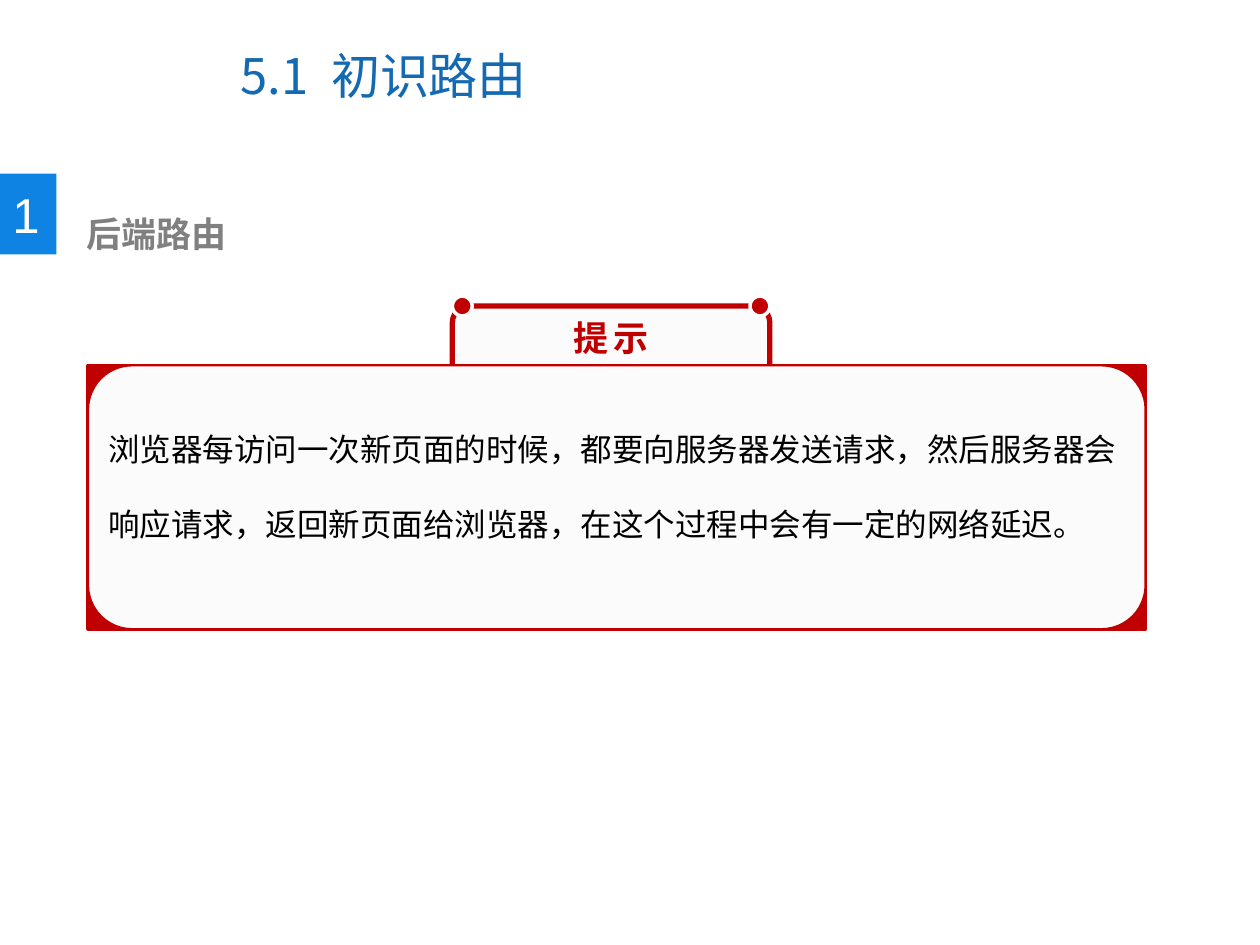
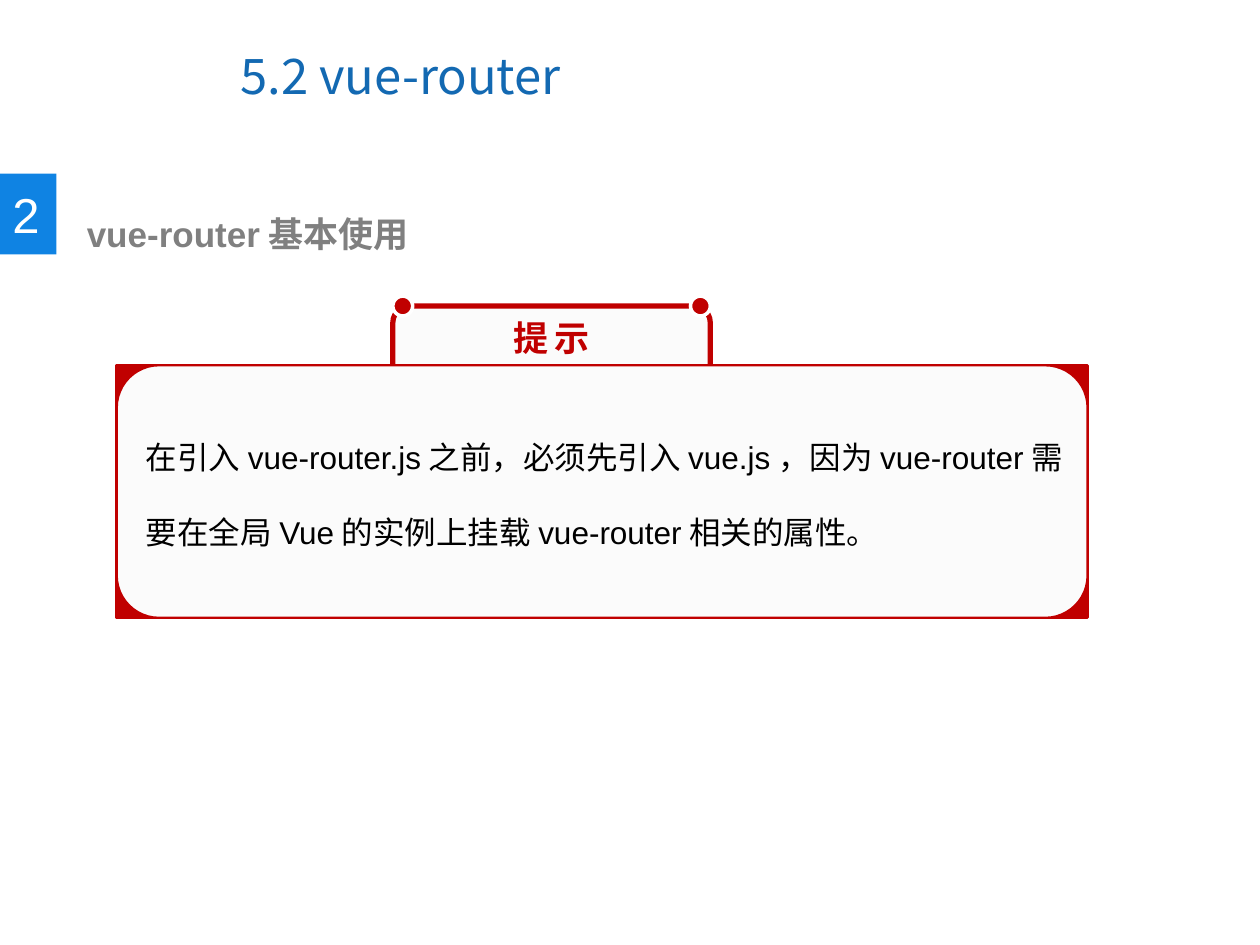
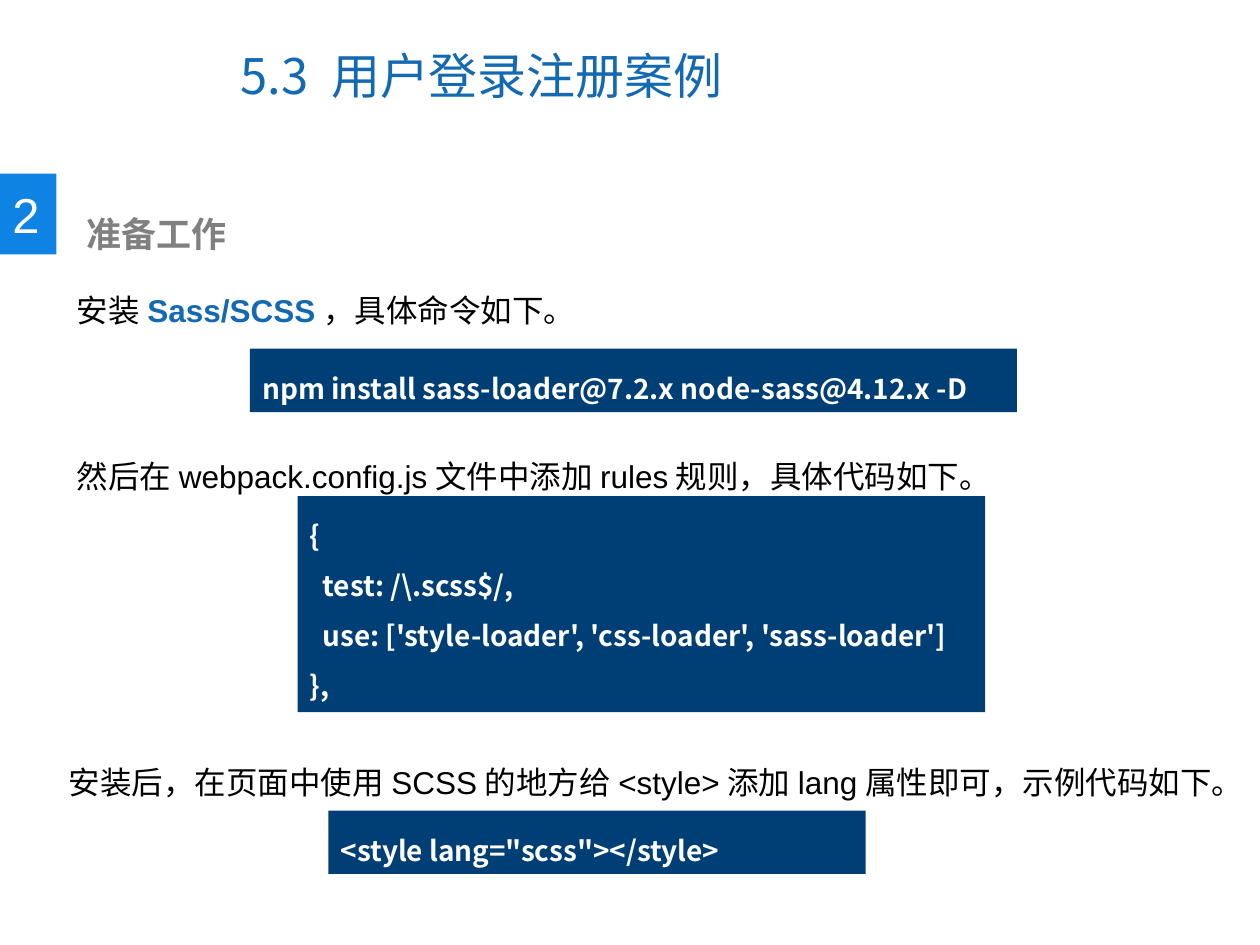
from dataclasses import dataclass

from lxml import etree
from pptx import Presentation
from pptx import util as u
from pptx.dml.color import RGBColor
from pptx.enum import shapes as s, text as t
from pptx.oxml import ns


@dataclass(frozen=True)
class Theme:
    title_blue: str = "1369B2"
    badge_blue: str = "0F83E3"
    code_blue: str = "003F75"
    red: str = "C00000"
    panel: str = "FBFBFB"
    grey: str = "808080"
    black: str = "000000"
    white: str = "FFFFFF"
    latin: str = "Arial"
    cjk: str = "Noto Sans CJK SC"
    title_size: float = 28
    heading_size: float = 20
    body_size: float = 18
    code_size: float = 16
    body_pitch: float = 42.9
    code_pitch: float = 28.6


THEME = Theme()


def add_shape(slide, kind, box, fill, line=None, line_width=1):
    shape = slide.shapes.add_shape(kind, *map(u.Cm, box))
    shape.shadow.inherit = False
    shape.fill.solid()
    shape.fill.fore_color.rgb = RGBColor.from_string(fill)
    if line:
        shape.line.color.rgb = RGBColor.from_string(line)
        shape.line.width = u.Pt(line_width)
    else:
        shape.line.fill.background()
    return shape


def style_run(run, size, color, font, bold=False):
    run.font.size = u.Pt(size)
    run.font.bold = bold
    run.font.color.rgb = RGBColor.from_string(color)
    run.font.name = font
    east_asian = etree.SubElement(run.font._element, ns.qn("a:ea"))
    east_asian.set("typeface", THEME.cjk)


def write(shape, content, size, color, font=THEME.latin, bold=False, pitch=None,
          anchor=t.MSO_ANCHOR.MIDDLE, align=t.PP_ALIGN.LEFT):
    """Fill a shape with text, one paragraph per line of content."""
    frame = shape.text_frame
    frame.text = content
    frame.word_wrap = True
    frame.vertical_anchor = anchor
    for paragraph in frame.paragraphs:
        paragraph.alignment = align
        if pitch:
            paragraph.line_spacing = u.Pt(pitch)
        for run in paragraph.runs:
            style_run(run, size, color, font, bold)
    return frame


def add_text(slide, box, content, size, color, **style):
    return write(slide.shapes.add_textbox(*map(u.Cm, box)), content, size, color, **style)


def add_section_slide(presentation, title, number, heading):
    """Slide with its title, numbered badge and section heading."""
    slide = presentation.slides.add_slide(presentation.slide_layouts[6])
    add_text(slide, (4.6, 0.43, 13.1, 2.16), title, THEME.title_size,
             THEME.title_blue, font=THEME.cjk)
    badge = add_shape(slide, s.MSO_SHAPE.RECTANGLE, (0, 3.5, 1.14, 1.63), THEME.badge_blue)
    write(badge, number, THEME.title_size, THEME.white)
    add_text(slide, (1.5, 4.14, 13, 1.12), heading, THEME.heading_size,
             THEME.grey, bold=True)
    return slide


def add_body(slide, box, content):
    return add_text(slide, box, content, THEME.body_size, THEME.black,
                    pitch=THEME.body_pitch, anchor=t.MSO_ANCHOR.TOP)


def add_tip(slide, box, tab_offset, text_inset, content):
    """Red-cornered panel with a labelled tab on its upper edge."""
    left, top, width, height = box
    tab_left, tab_width, dot = left + tab_offset, 6.4, 0.4

    # Tab behind the panel, then the panel over its red corners
    add_shape(slide, s.MSO_SHAPE.ROUNDED_RECTANGLE,
              (tab_left, top - 1.2, tab_width, 2), THEME.panel, THEME.red, 3)
    add_shape(slide, s.MSO_SHAPE.FLOWCHART_PROCESS, box, THEME.red, THEME.red, 2)
    add_shape(slide, s.MSO_SHAPE.FLOWCHART_ALTERNATE_PROCESS, box, THEME.panel, THEME.red)

    # Dots on the tab corners
    for dot_left in (tab_left, tab_left + tab_width - dot):
        add_shape(slide, s.MSO_SHAPE.OVAL, (dot_left, top - 1.4, dot, dot),
                  THEME.red, THEME.white, 2)

    # Label and message
    label = add_text(slide, (tab_left + 1.3, top - 1.12, 3.8, 1.12), "提示",
                     THEME.heading_size, THEME.red, font=THEME.cjk, bold=True,
                     align=t.PP_ALIGN.CENTER)
    label.paragraphs[0].runs[0].font._element.set("spc", "300")
    inset_left, inset_top, inset_right = text_inset
    add_body(slide, (left + inset_left, top + inset_top,
                     width - inset_left - inset_right, 3.33), content)


def add_code(slide, box, content):
    block = add_shape(slide, s.MSO_SHAPE.RECTANGLE, box, THEME.code_blue)
    write(block, content, THEME.code_size, THEME.white, font=THEME.cjk, bold=True,
          pitch=THEME.code_pitch, anchor=t.MSO_ANCHOR.TOP)


def add_setup_steps(slide, box):
    """Three steps, each a sentence with its code block."""
    left, top, width = box

    # Install command, with the tool name emphasised
    frame = add_body(slide, (left, top, width, 1.8), "安装")
    paragraph = frame.paragraphs[0]
    for words, color, bold in (("Sass/SCSS", THEME.title_blue, True),
                               ("，具体命令如下。", THEME.black, False)):
        run = paragraph.add_run()
        run.text = words
        style_run(run, THEME.body_size, color, THEME.latin, bold)
    add_code(slide, (left + 3.74, top + 2.03, 15.46, 1.28),
             "npm install sass-loader@7.2.x node-sass@4.12.x -D")

    # Loader rule
    add_body(slide, (left, top + 3.33, width, 1.8),
             "然后在webpack.config.js文件中添加rules规则，具体代码如下。")
    add_code(slide, (left + 4.7, top + 5, 13.86, 4.36),
             "{\n  test: /\\.scss$/,\n"
             "  use: ['style-loader', 'css-loader', 'sass-loader']\n},")

    # Style tag
    add_body(slide, (left - 0.16, top + 9.5, width + 0.5, 1.8),
             "安装后，在页面中使用SCSS的地方给<style>添加lang属性即可，示例代码如下。")
    add_code(slide, (left + 5.32, top + 11.34, 10.83, 1.28), '<style lang="scss"></style>')


def main():
    presentation = Presentation()
    presentation.slide_width, presentation.slide_height = u.Cm(25.4), u.Cm(19.05)

    slide = add_section_slide(presentation, "5.1 初识路由", "1", "后端路由")
    add_tip(slide, (1.78, 7.37, 21.31, 5.31), 7.34, (0.15, 0.43, 0),
            "浏览器每访问一次新页面的时候，都要向服务器发送请求，然后服务器会响应请求，"
            "返回新页面给浏览器，在这个过程中会有一定的网络延迟。")

    slide = add_section_slide(presentation, "5.2 vue-router", "2", "vue-router基本使用")
    add_tip(slide, (2.36, 7.37, 19.56, 5.08), 5.56, (0.33, 0.58, 0.15),
            "在引入vue-router.js之前，必须先引入vue.js，因为vue-router需要在全局Vue的"
            "实例上挂载vue-router相关的属性。")

    slide = add_section_slide(presentation, "5.3 用户登录注册案例", "2", "准备工作")
    add_setup_steps(slide, (1.3, 5, 23.24))

    presentation.save("out.pptx")


if __name__ == "__main__":
    main()
